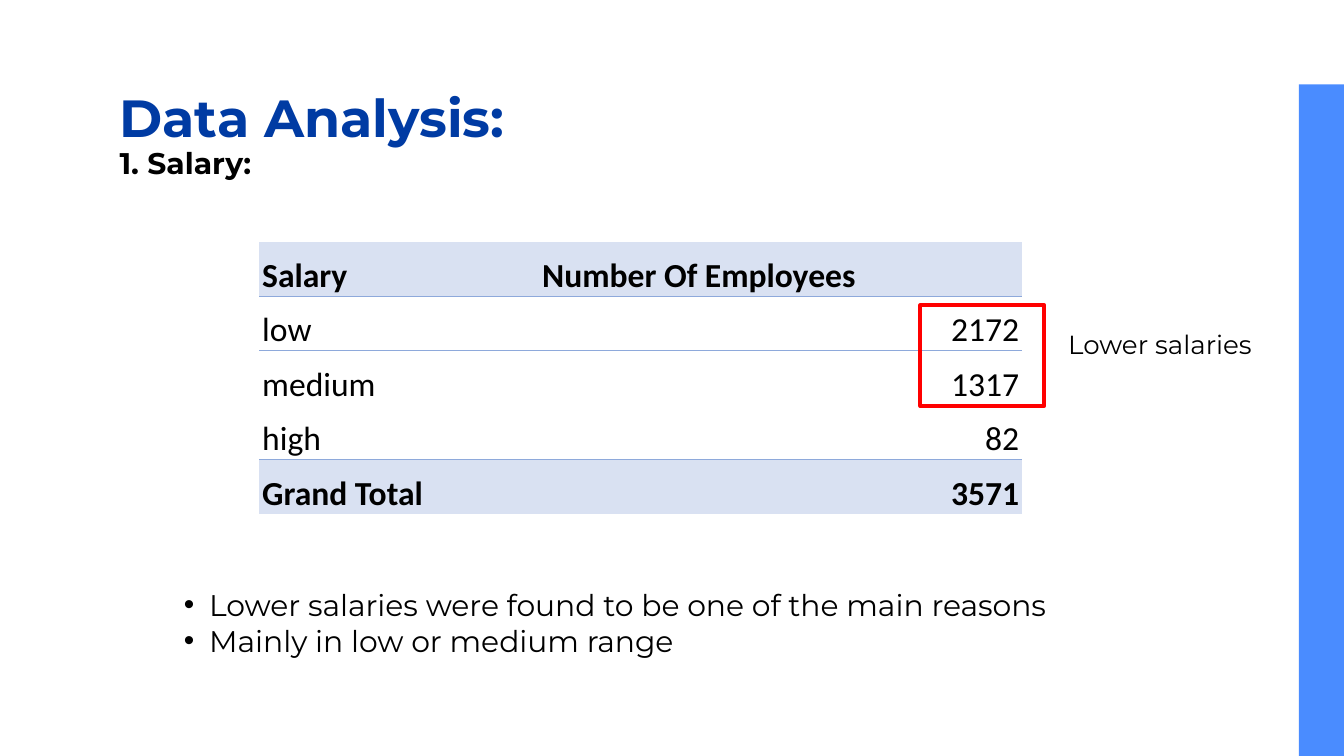
"""Build the salary slide of the data analysis deck."""
from lxml import etree
from pptx import Presentation
from pptx.dml.color import RGBColor
from pptx.enum.shapes import MSO_SHAPE
from pptx.enum.text import MSO_ANCHOR, PP_ALIGN
from pptx.oxml.ns import qn
from pptx.util import Pt

RECT = MSO_SHAPE.RECTANGLE
MIDDLE, BOTTOM = MSO_ANCHOR.MIDDLE, MSO_ANCHOR.BOTTOM
LEFT, RIGHT = PP_ALIGN.LEFT, PP_ALIGN.RIGHT
NO_STYLE = "{2D5ABB26-0587-4C30-8999-92F81FD0307C}"
COLORS = {"title": "003BA3", "text": "000000", "bar": "4A8CFF",
          "band": "D9E1F2", "rule": "8EA9DB", "mark": "FF0000"}


def style_text(box, size, color="text", bold=False, font="Montserrat", inset=7.2):
    box.margin_left = box.margin_right = box.margin_top = Pt(inset)
    box.margin_bottom = Pt(inset if inset > 2 else 0)
    tf = getattr(box, "text_frame", box)
    for p in tf.paragraphs:
        for r in p.runs:
            r.font.size, r.font.bold, r.font.name = Pt(size), bold, font
            r.font.color.rgb = RGBColor.from_string(COLORS[color])


def add_plain_table(rows, cols, left, top, widths, heights):
    gf = s.shapes.add_table(rows, cols, Pt(left), Pt(top), Pt(sum(widths)), Pt(sum(heights)))
    table = gf.table
    table.first_row = table.horz_banding = False
    table._tbl.tblPr.find(qn("a:tableStyleId")).text = NO_STYLE
    for column, width in zip(table.columns, widths):
        column.width = Pt(width)
    for row, height in zip(table.rows, heights):
        row.height = Pt(height)
    for cell in table.iter_cells():
        cell.fill.background()
    return table


prs = Presentation()
prs.slide_width, prs.slide_height = Pt(720), Pt(405)
s = prs.slides.add_slide(prs.slide_layouts[6])

bar = s.shapes.add_shape(RECT, Pt(528), Pt(213), Pt(360), Pt(24.5))
bar.rotation = 90
bar.shadow.inherit = False
bar.fill.solid()
bar.fill.fore_color.rgb = RGBColor.from_string(COLORS["bar"])
bar.line.fill.background()

note = add_plain_table(2, 1, 565, 132.5, [113.5], [19.5, 26])
note.cell(1, 0).text = "Lower salaries"
for cell in note.iter_cells():
    style_text(cell, 14)
    cell.vertical_anchor = MIDDLE

data = [("Salary", "Number Of Employees"), ("low", "2172"), ("medium", "1317"),
        ("high", "82"), ("Grand Total", "3571")]
rules = {0: "a:lnB", 1: "a:lnT", 4: "a:lnT"}
salary = add_plain_table(5, 2, 139, 129.5, [150, 258.5], [29.2] * 5)
for i, values in enumerate(data):
    for j, value in enumerate(values):
        cell = salary.cell(i, j)
        cell.text = value
        style_text(cell, 18, bold=i in (0, 4), font="Calibri", inset=1.5)
        cell.vertical_anchor = BOTTOM
        cell.text_frame.paragraphs[0].alignment = RIGHT if i and j else LEFT
        if i in (0, 4):
            cell.fill.solid()
            cell.fill.fore_color.rgb = RGBColor.from_string(COLORS["band"])
        if i in rules:
            ln = etree.Element(qn(rules[i]), w=str(Pt(0.5)))
            fill = etree.SubElement(ln, qn("a:solidFill"))
            etree.SubElement(fill, qn("a:srgbClr"), val=COLORS["rule"])
            cell._tc.get_or_add_tcPr().insert(0, ln)

texts = [
    ("Data Analysis:", 57, 36.7, 607, 51, 28, "title", True),
    ("Lower salaries were found to be one of the main reasons\nMainly in low or medium range",
     91.5, 309.6, 520, 48, 16, "text", False),
    ("1. Salary:", 57, 76.5, 91, 21.6, 16, "text", True),
]
for text, left, top, width, height, size, color, bold in texts:
    sp = s.shapes.add_textbox(Pt(left), Pt(top), Pt(width), Pt(height))
    tf = sp.text_frame
    tf.text = text
    tf.word_wrap = True
    tf.vertical_anchor = MIDDLE
    style_text(tf, size, color, bold)
    if len(tf.paragraphs) > 1:
        for p in tf.paragraphs:
            pPr = p._p.get_or_add_pPr()
            pPr.set("marL", str(Pt(13.5)))
            pPr.set("indent", str(-Pt(13.5)))
            bullet_color = etree.SubElement(pPr, qn("a:buClr"))
            etree.SubElement(bullet_color, qn("a:srgbClr"), val=COLORS["text"])
            etree.SubElement(pPr, qn("a:buFont"), typeface="Arial")
            etree.SubElement(pPr, qn("a:buChar"), char="•")

mark = s.shapes.add_shape(RECT, Pt(493), Pt(163.5), Pt(66.5), Pt(54))
mark.shadow.inherit = False
mark.fill.background()
mark.line.color.rgb = RGBColor.from_string(COLORS["mark"])
mark.line.width = Pt(2)

prs.save("out.pptx")
